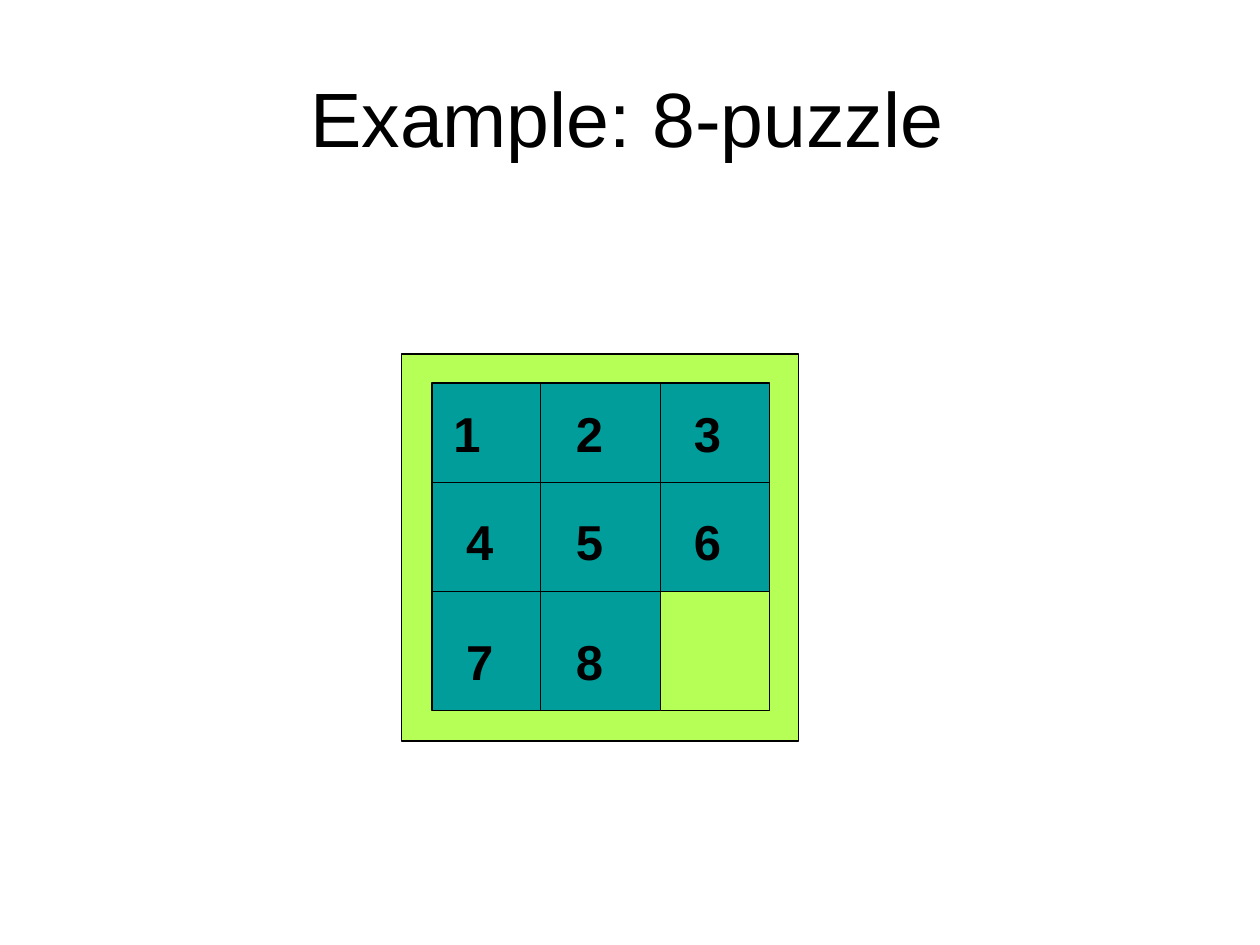
from dataclasses import dataclass

from lxml import etree
from pptx import Presentation
from pptx.dml.color import RGBColor
from pptx.enum.shapes import MSO_CONNECTOR, MSO_SHAPE
from pptx.enum.text import MSO_ANCHOR, PP_ALIGN
from pptx.oxml.ns import qn
from pptx.util import Cm, Pt

RECTANGLE = MSO_SHAPE.RECTANGLE
STRAIGHT = MSO_CONNECTOR.STRAIGHT
CENTER = PP_ALIGN.CENTER
MIDDLE = MSO_ANCHOR.MIDDLE
TOP = MSO_ANCHOR.TOP
TITLE_ONLY = 5


@dataclass(frozen=True)
class Theme:
    ink: RGBColor = RGBColor(0x00, 0x00, 0x00)
    frame: RGBColor = RGBColor(0xB6, 0xFF, 0x57)
    tile: RGBColor = RGBColor(0x00, 0x9D, 0x9A)
    font: str = "Arial"
    title_size: Pt = Pt(44)
    digit_size: Pt = Pt(28)
    line_width: Pt = Pt(0.75)


THEME = Theme()

# Grid lines of the puzzle in cm, outer edges included
COLUMN_EDGES = (8.71, 10.9, 13.31, 15.52)
ROW_EDGES = (7.72, 9.73, 11.92, 14.33)
FRAME_BOX = (8.1, 7.14, 16.1, 14.94)
DIGIT_COLUMNS = (9.3, 11.51, 13.89)
DIGIT_ROWS = (8.13, 10.31, 12.73)
FIRST_DIGIT_LEFT = 9.04


def style_font(paragraph, size, bold=False):
    font = paragraph.font
    font.name, font.size, font.bold = THEME.font, size, bold
    font.color.rgb = THEME.ink


def set_margins(frame, left, top, right, bottom):
    frame.margin_left, frame.margin_top = Cm(left), Cm(top)
    frame.margin_right, frame.margin_bottom = Cm(right), Cm(bottom)


def style_line(line):
    line.color.rgb = THEME.ink
    line.width = THEME.line_width


def add_title(slide, text):
    title = slide.shapes.title
    title.left, title.top, title.width, title.height = Cm(1.27), Cm(0.25), Cm(22.86), Cm(4.19)
    frame = title.text_frame
    frame.text = text
    frame.vertical_anchor = MIDDLE
    set_margins(frame, 0.25, 0.15, 0.36, 0.15)
    heading = frame.paragraphs[0]
    heading.alignment = CENTER
    style_font(heading, THEME.title_size)


def add_panel(slide, left, top, right, bottom, color):
    panel = slide.shapes.add_shape(RECTANGLE, Cm(left), Cm(top), Cm(right - left), Cm(bottom - top))
    panel.shadow.inherit = False
    panel.fill.solid()
    panel.fill.fore_color.rgb = color
    style_line(panel.line)


def add_grid_line(slide, x1, y1, x2, y2):
    grid_line = slide.shapes.add_connector(STRAIGHT, Cm(x1), Cm(y1), Cm(x2), Cm(y2))
    style_line(grid_line.line)
    etree.SubElement(grid_line._element.spPr, qn("a:effectLst"))


def add_digit(slide, digit, left, top):
    box = slide.shapes.add_textbox(Cm(left), Cm(top), Cm(1.07), Cm(1.37))
    frame = box.text_frame
    frame.word_wrap = True
    frame.vertical_anchor = TOP
    set_margins(frame, 0.1, 0, 0.1, 0)
    frame.text = str(digit)
    style_font(frame.paragraphs[0], THEME.digit_size, bold=True)


def add_puzzle(slide):
    left, *inner_columns, right = COLUMN_EDGES
    top, *inner_rows, bottom = ROW_EDGES
    add_panel(slide, *FRAME_BOX, THEME.frame)
    add_panel(slide, left, top, right, bottom, THEME.tile)
    for x in inner_columns:
        add_grid_line(slide, x, top, x, bottom)
    for y in inner_rows:
        add_grid_line(slide, left, y, right, y)
    for digit in range(1, 9):
        row, column = divmod(digit - 1, 3)
        digit_left = FIRST_DIGIT_LEFT if digit == 1 else DIGIT_COLUMNS[column]
        add_digit(slide, digit, digit_left, DIGIT_ROWS[row])
    # The empty square
    add_panel(slide, inner_columns[-1], inner_rows[-1], right, bottom, THEME.frame)


def main():
    deck = Presentation()
    deck.slide_width, deck.slide_height = Cm(25.4), Cm(19.05)
    slide = deck.slides.add_slide(deck.slide_layouts[TITLE_ONLY])
    add_title(slide, "Example: 8-puzzle")
    add_puzzle(slide)
    deck.save("out.pptx")


if __name__ == "__main__":
    main()
